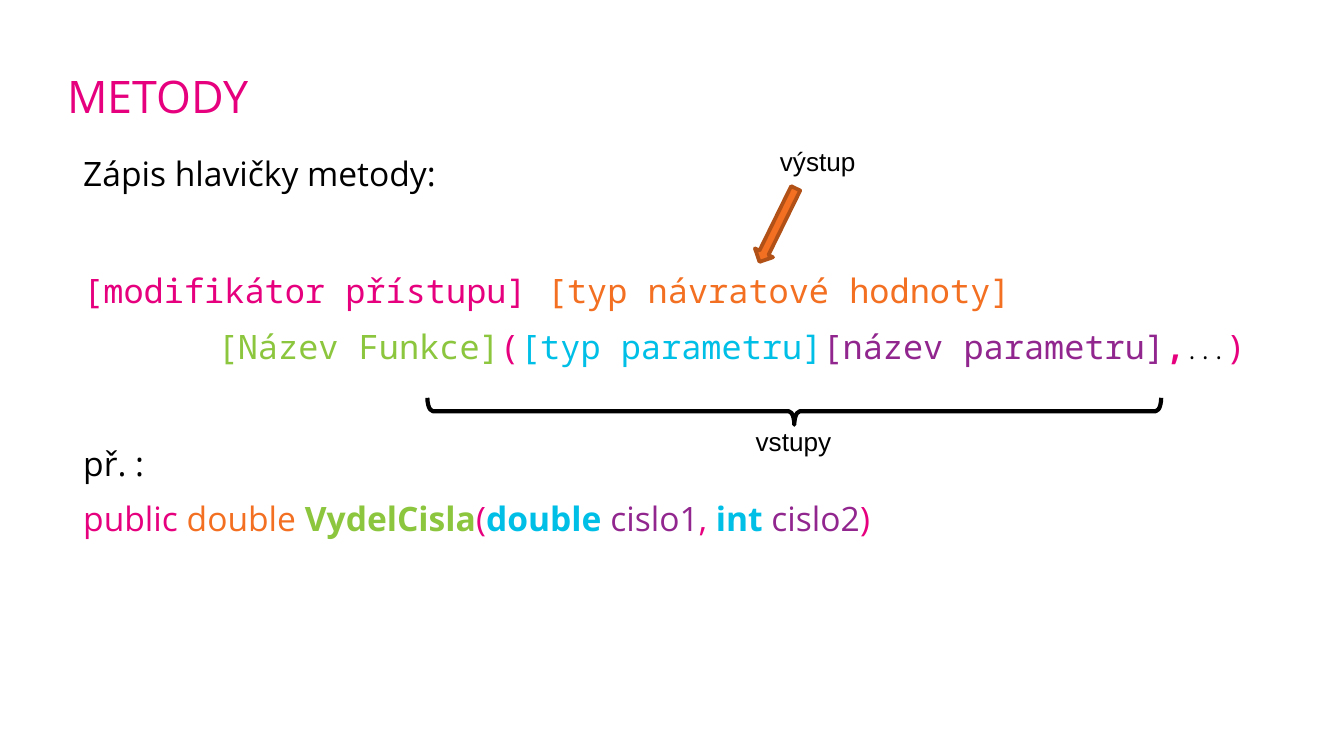
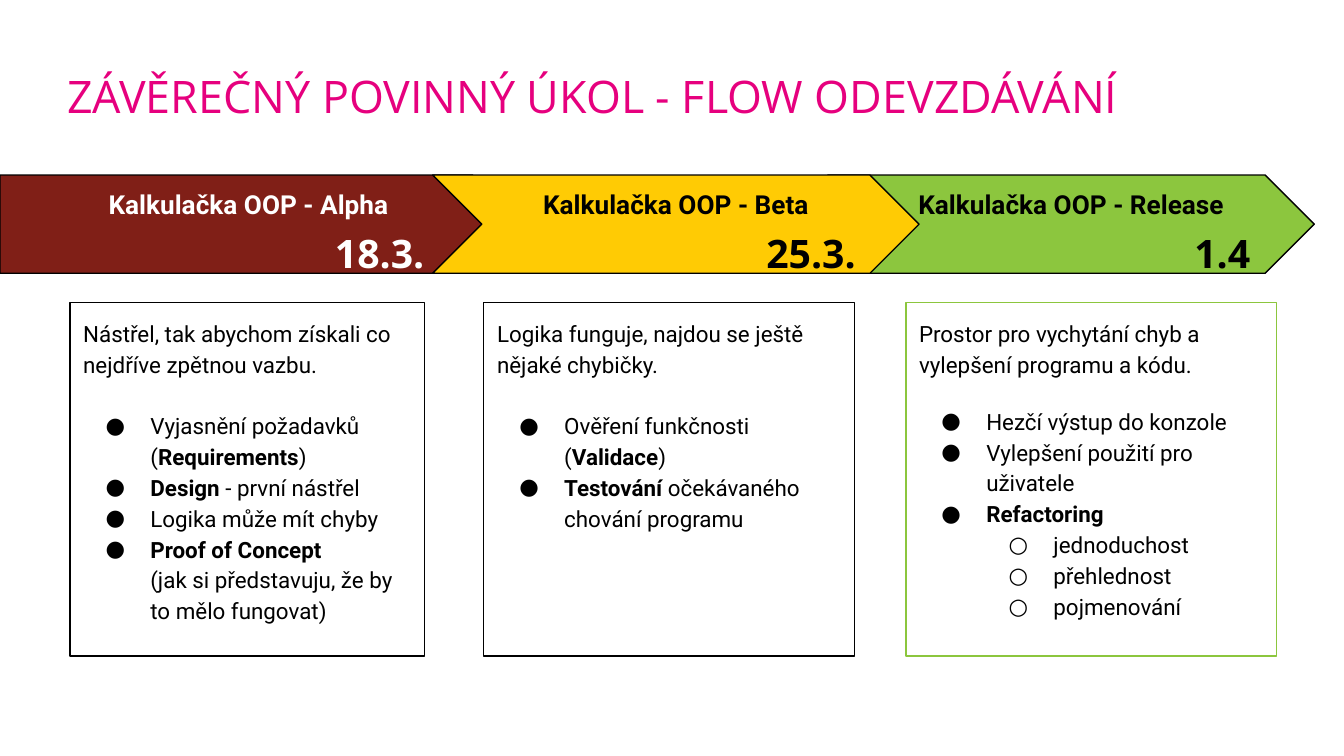
import pptx
import pptx.util
import pptx.dml.color
import pptx.enum.shapes
import pptx.enum.text
import pptx.oxml.ns
import lxml.etree

Pt = pptx.util.Pt
SHAPES = pptx.enum.shapes.MSO_SHAPE
ALIGN = pptx.enum.text.PP_ALIGN
qn = pptx.oxml.ns.qn

COLOURS = {
    "pink": "E6007E", "orange": "F36F21", "rust": "B15118", "green": "8CC63E",
    "cyan": "00BFE7", "purple": "91268F", "maroon": "801F17", "yellow": "FFCB04",
    "black": "000000", "white": "FFFFFF",
}
BOLD = {"bold": True}
MONO = {"font": "Noto Sans Mono"}
BULLET = {"bullet": "●", "left": 36, "hang": -24}
SUB_BULLET = {"bullet": "○", "left": 72, "hang": -24, "level": 1}


def coloured(colour, **extra):
    return {"colour": colour, **extra}


# A paragraph is (spans, format); a span is (text, format).
GAP = 7.2
BLANK_LINE_GAP = 40.1
SIGNATURE = [
    ([("Zápis hlavičky metody:", {})], {}),
    ([("[modifikátor přístupu] ", coloured("pink")),
      ("[typ návratové hodnoty]", coloured("orange"))], {"before": BLANK_LINE_GAP, **MONO}),
    ([("[Název Funkce]", coloured("green")),
      ("(", coloured("pink")),
      ("[typ parametru]", coloured("cyan")),
      ("[název parametru]", coloured("purple")),
      (",", coloured("pink", bold=True)),
      ("...", {"size": 12}),
      (")", coloured("pink"))], {"left": 80.6, **MONO}),
    ([("př. :", {})], {"before": BLANK_LINE_GAP}),
    ([("public ", coloured("pink")),
      ("double ", coloured("orange")),
      ("VydelCisla", coloured("green", bold=True)),
      ("(", coloured("pink")),
      ("double ", coloured("cyan", bold=True)),
      ("cislo1", coloured("purple")),
      (", ", coloured("pink")),
      ("int ", coloured("cyan", bold=True)),
      ("cislo2", coloured("purple")),
      (")", coloured("pink"))], {}),
]
CALLOUTS = [("vstupy", 397.4, 224.6), ("výstup", 410.4, 74.2)]

# Drawn in this order, so that each later arrow tip covers its neighbour.
STAGES = [
    {"name": "Kalkulačka OOP - Release", "date": "1.4", "date_left": 617,
     "arrow": (SHAPES.CHEVRON, 443.5, 260.6), "fill": "green", "ink": "black",
     "card": (485.3, 198.7), "edge": "green",
     "text": [
         ([("Prostor pro vychytání chyb a vylepšení programu a kódu.", {})], {}),
         ([("Hezčí výstup do konzole", {})], {"before": 14, **BULLET}),
         ([("Vylepšení použití pro uživatele", {})], BULLET),
         ([("Refactoring", BOLD)], BULLET),
         ([("jednoduchost", {})], SUB_BULLET),
         ([("přehlednost", {})], SUB_BULLET),
         ([("pojmenování", {})], SUB_BULLET),
     ]},
    {"name": "Kalkulačka OOP - Alpha", "date": "18.3.", "date_left": 165.6,
     "arrow": (SHAPES.PENTAGON, 0, 279.4), "fill": "maroon", "ink": "white",
     "card": (37.5, 190.1), "edge": "black",
     "text": [
         ([("Nástřel, tak abychom získali co nejdříve zpětnou vazbu.", {})], {}),
         ([("Vyjasnění požadavků\n(", {}), ("Requirements", BOLD), (")", {})],
          {"before": 16.3, **BULLET}),
         ([("Design ", BOLD), ("- první nástřel", {})], BULLET),
         ([("Logika může mít chyby", {})], BULLET),
         ([("Proof of Concept\n", BOLD),
           ("(jak si představuju, že by to mělo fungovat)", {})], BULLET),
     ]},
    {"name": "Kalkulačka OOP - Beta", "date": "25.3.", "date_left": 396.7,
     "arrow": (SHAPES.CHEVRON, 231.8, 260.6), "fill": "yellow", "ink": "black",
     "card": (259.2, 198.7), "edge": "black",
     "text": [
         ([("Logika funguje, najdou se ještě nějaké chybičky.", {})], {}),
         ([("Ověření funkčnosti (", {}), ("Validace", BOLD), (")", {})],
          {"before": 16.3, **BULLET}),
         ([("Testování ", BOLD), ("očekávaného chování programu", {})], BULLET),
     ]},
]


def rgb(name):
    return pptx.dml.color.RGBColor.from_string(COLOURS[name])


def add_bullet(paragraph, character, font):
    properties = paragraph._p.get_or_add_pPr()
    colour = lxml.etree.SubElement(properties, qn("a:buClr"))
    lxml.etree.SubElement(colour, qn("a:srgbClr"), val=COLOURS["black"])
    lxml.etree.SubElement(properties, qn("a:buFont"), typeface=font)
    lxml.etree.SubElement(properties, qn("a:buChar"), char=character)


def add_spans(paragraph, text, style):
    for index, line in enumerate(text.split("\n")):
        if index:
            paragraph.add_line_break()
            lxml.etree.SubElement(paragraph._p[-1], qn("a:rPr"), sz=str(style["size"] * 100))
        if line:
            span = paragraph.add_run()
            span.text = line
            span.font.name = style["font"]
            span.font.size = Pt(style["size"])
            span.font.bold = style.get("bold", False)
            span.font.color.rgb = rgb(style["colour"])


def write(box, text, margins=(7.2, 7.2, 7.2, 7.2), align=ALIGN.LEFT, **style):
    """Fill a box with one string or a list of paragraphs."""
    frame = box.text_frame
    frame.word_wrap = True
    frame.auto_size = pptx.enum.text.MSO_AUTO_SIZE.NONE
    frame.vertical_anchor = pptx.enum.text.MSO_ANCHOR.TOP
    frame.margin_left, frame.margin_top, frame.margin_right, frame.margin_bottom = map(Pt, margins)
    paragraphs = [([(text, {})], {})] if isinstance(text, str) else text
    for index, (spans, extra) in enumerate(paragraphs):
        look = {"colour": "black", "spacing": 1.0, "before": 0, "left": 0, "hang": 0, **style, **extra}
        paragraph = frame.add_paragraph() if index else frame.paragraphs[0]
        paragraph.alignment = align
        paragraph.level = look.get("level", 0)
        paragraph.line_spacing = look["spacing"]
        paragraph.space_before = Pt(look["before"] if index else 0)
        properties = paragraph._p.get_or_add_pPr()
        properties.set("marL", str(Pt(look["left"])))
        properties.set("indent", str(Pt(look["hang"])))
        if "bullet" in look:
            add_bullet(paragraph, look["bullet"], look["font"])
        for span_text, span_style in spans:
            add_spans(paragraph, span_text, {**look, **span_style})


def add_shape(page, kind, place, line, weight=0.75, fill=None):
    shape = page.shapes.add_shape(kind, *map(Pt, place))
    shape.shadow.inherit = False
    if fill:
        shape.fill.solid()
        shape.fill.fore_color.rgb = rgb(fill)
    else:
        shape.fill.background()
    shape.line.color.rgb = rgb(line)
    shape.line.width = Pt(weight)
    return shape


def add_text(page, text, place, **style):
    write(page.shapes.add_textbox(*map(Pt, place)), text, **style)


def add_page(deck, heading):
    page = deck.slides.add_slide(deck.slide_layouts[5])
    title = page.shapes.title
    title.left, title.top, title.width, title.height = map(Pt, (36, 34.6, 648.7, 36))
    write(title, heading, margins=(0, 0, 7.2, 7.2), font="Open Sans", size=24,
          colour="pink", spacing=1.08)
    return page


def build_methods(deck):
    page = add_page(deck, "METODY")
    add_text(page, SIGNATURE, (36, 80.6, 648.7, 265), margins=(0, 0, 0, 0),
             font="Open Sans", size=18, spacing=1.05, before=GAP, left=8.6)
    brace = add_shape(page, SHAPES.RIGHT_BRACE, (418.3, 23.8, 14.4, 393.1), "black", 2.25)
    brace.rotation = 90
    brace.adjustments[0] = 0.206
    for label, left, top in CALLOUTS:
        add_text(page, label, (left, top, 55.4, 24.5), margins=(0, 3.6, 0, 3.6),
                 align=ALIGN.CENTER, font="Arial", size=14)
    arrow = add_shape(page, SHAPES.RIGHT_ARROW, (394.6, 115.2, 43.9, 10.8), "rust", 2, "orange")
    arrow.rotation = 116.2


def build_flow(deck):
    page = add_page(deck, "ZÁVĚREČNÝ POVINNÝ ÚKOL - FLOW ODEVZDÁVÁNÍ")
    for stage in STAGES:
        kind, left, width = stage["arrow"]
        arrow = add_shape(page, kind, (left, 93.8, width, 52.6), "black", fill=stage["fill"])
        write(arrow, stage["name"], align=ALIGN.CENTER, font="Roboto", size=14,
              bold=True, colour=stage["ink"])
        left, width = stage["card"]
        card = add_shape(page, SHAPES.RECTANGLE, (left, 162, width, 189.4), stage["edge"])
        write(card, stage["text"], font="Roboto", size=12, spacing=1.15)
    for stage in STAGES:
        add_text(page, stage["date"], (stage["date_left"], 115.5, 75.6, 43.2),
                 align=ALIGN.CENTER, font="Open Sans", size=21, bold=True, colour=stage["ink"])


def main():
    deck = pptx.Presentation()
    deck.slide_width, deck.slide_height = Pt(720), Pt(405)
    build_methods(deck)
    build_flow(deck)
    deck.save("out.pptx")


if __name__ == "__main__":
    main()
